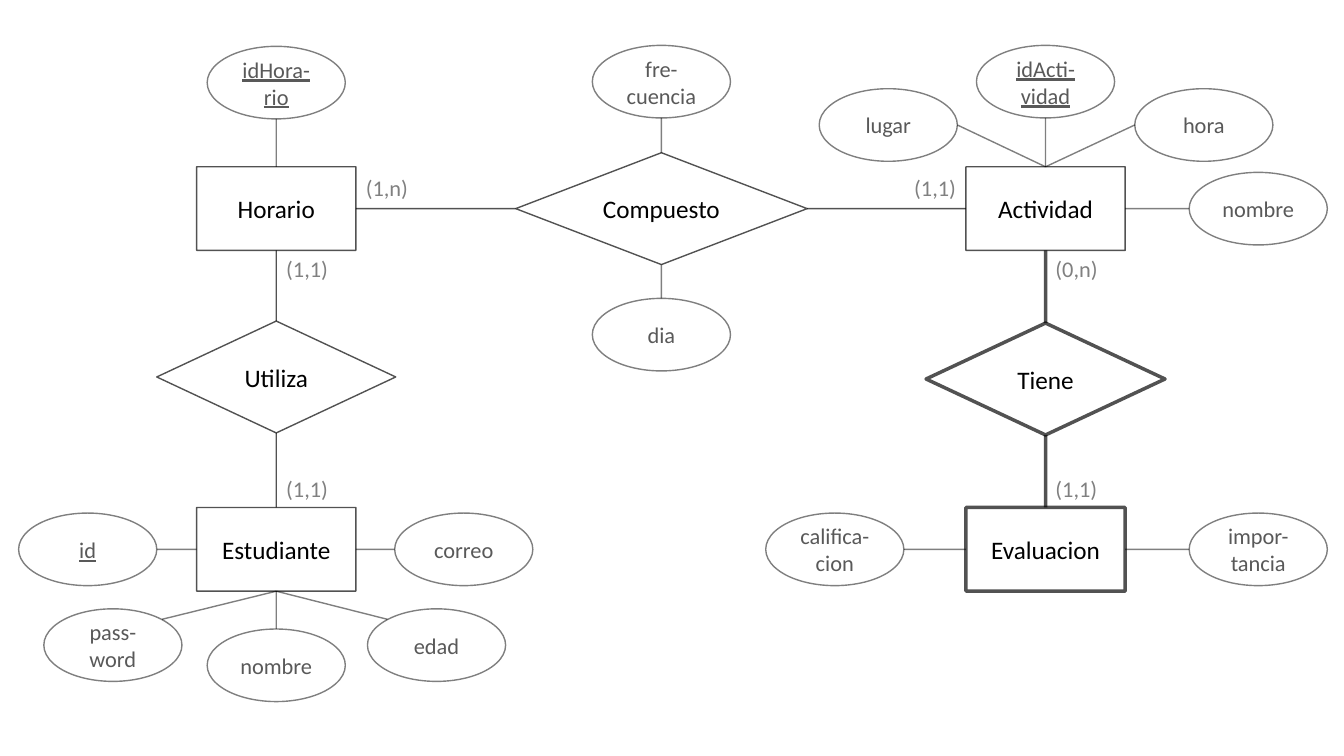
from lxml import etree
from pptx import Presentation
from pptx.dml.color import RGBColor
from pptx.enum import shapes, text
from pptx.oxml.ns import qn
from pptx.util import Inches, Pt

LEFT, MIDDLE, RIGHT = 2.74, 6.56, 10.37
TOP, BOTTOM = 2.07, 5.45
ENTITY_SIZE, ATTRIBUTE_SIZE = (1.58, 0.83), (1.37, 0.72)
THIN, THICK = 1, 2.5
ENTITY_OPACITY, ATTRIBUTE_OPACITY = 67, 50
BLACK, DARK_GREY, GREY = "000000", "595959", "808080"

# name, centre x, centre y, line width
ENTITIES = [
    ("Horario", LEFT, TOP, THIN),
    ("Actividad", RIGHT, TOP, THIN),
    ("Evaluacion", RIGHT, BOTTOM, THICK),
    ("Estudiante", LEFT, BOTTOM, THIN),
]
# name, centre x, centre y, width, line width, linked entities as (name, diamond side, entity side)
RELATIONS = [
    ("Compuesto", MIDDLE, TOP, 2.89, THIN,
     [("Horario", "left", "right"), ("Actividad", "right", "left")]),
    ("Tiene", RIGHT, 3.76, 2.37, THICK,
     [("Actividad", "top", "bottom"), ("Evaluacion", "bottom", "top")]),
    ("Utiliza", LEFT, 3.74, 2.37, THIN,
     [("Horario", "top", "bottom"), ("Estudiante", "bottom", "top")]),
]
RELATION_HEIGHT = 1.11
# owner: (text, is key, centre x, centre y, owner side, attribute side)
ATTRIBUTES = {
    "Horario": [("idHora-rio", True, LEFT, 0.82, "top", "bottom")],
    "Compuesto": [
        ("fre-cuencia", False, MIDDLE, 0.81, "top", "bottom"),
        ("dia", False, MIDDLE, 3.32, "bottom", "top"),
    ],
    "Actividad": [
        ("lugar", False, 8.81, 1.24, "top", "right"),
        ("idActi-vidad", True, RIGHT, 0.81, "top", "bottom"),
        ("hora", False, 11.94, 1.24, "top", "left"),
        ("nombre", False, 12.48, TOP, "right", "left"),
    ],
    "Estudiante": [
        ("id", True, 0.87, BOTTOM, "left", "right"),
        ("correo", False, 4.6, BOTTOM, "right", "left"),
        ("pass-word", False, 1.12, 6.4, "bottom", "top right"),
        ("nombre", False, LEFT, 6.6, "bottom", "top"),
        ("edad", False, 4.33, 6.4, "bottom", "top left"),
    ],
    "Evaluacion": [
        ("califica-cion", False, 8.28, BOTTOM, "left", "right"),
        ("impor-tancia", False, 12.48, BOTTOM, "right", "left"),
    ],
}
# text, left, top, width, height, anchor, alignment
CARDINALITIES = [
    ("(1,n)", 3.53, 1.65, 1.84, 0.42, "MIDDLE", "LEFT"),
    ("(1,1)", 7.74, 1.65, 1.84, 0.42, "MIDDLE", "RIGHT"),
    ("(0,n)", RIGHT, 2.48, 0.79, 0.72, "TOP", "LEFT"),
    ("(1,1)", RIGHT, 4.31, 0.79, 0.72, "BOTTOM", "LEFT"),
    ("(1,1)", LEFT, 2.48, 0.79, 0.72, "TOP", "LEFT"),
    ("(1,1)", LEFT, 4.31, 0.79, 0.72, "BOTTOM", "LEFT"),
]

# Direction from the centre, in half widths and half heights
SIDES = {
    "top": (0, -1), "bottom": (0, 1), "left": (-1, 0), "right": (1, 0),
    "top left": (-0.71, -0.71), "top right": (0.71, -0.71),
}


def color(hex_string):
    return RGBColor.from_string(hex_string)


def style_line(line, width, opacity):
    line.width = Pt(width)
    line.color.rgb = color(BLACK)
    srgb = line.fill._xPr.find(".//" + qn("a:srgbClr"))
    etree.SubElement(srgb, qn("a:alpha")).set("val", str(opacity * 1000))


def write(shape, words, size, hex_string, anchor="MIDDLE", alignment="CENTER", underline=False):
    frame = shape.text_frame
    frame.word_wrap = True
    frame.vertical_anchor = text.MSO_ANCHOR[anchor]
    frame.text = words
    paragraph = frame.paragraphs[0]
    paragraph.alignment = text.PP_ALIGN[alignment]
    font = paragraph.runs[0].font
    font.name, font.size, font.color.rgb = "Calibri", Pt(size), color(hex_string)
    if underline:
        font.underline = True


def add_node(slide, kind, center, size, line_width, opacity):
    (x, y), (width, height) = center, size
    node = slide.shapes.add_shape(kind, Inches(x - width / 2), Inches(y - height / 2),
                                  Inches(width), Inches(height))
    node.shadow.inherit = False
    node.fill.background()
    style_line(node.line, line_width, opacity)
    return node


def side_point(node, side):
    dx, dy = SIDES[side]
    return (int(node.left + node.width * (1 + dx) / 2),
            int(node.top + node.height * (1 + dy) / 2))


def join(slide, start, start_side, end, end_side, line_width, opacity):
    connector = slide.shapes.add_connector(
        shapes.MSO_CONNECTOR.STRAIGHT, *side_point(start, start_side), *side_point(end, end_side))
    etree.SubElement(connector._element.spPr, qn("a:effectLst"))
    style_line(connector.line, line_width, opacity)


def main():
    presentation = Presentation()
    presentation.slide_width, presentation.slide_height = Inches(13.33), Inches(7.5)
    slide = presentation.slides.add_slide(presentation.slide_layouts[6])
    nodes = {}

    for name, x, y, line_width in ENTITIES:
        nodes[name] = add_node(slide, shapes.MSO_SHAPE.RECTANGLE, (x, y), ENTITY_SIZE,
                               line_width, ENTITY_OPACITY)
        write(nodes[name], name, 18, BLACK)

    for name, x, y, width, line_width, links in RELATIONS:
        nodes[name] = add_node(slide, shapes.MSO_SHAPE.DIAMOND, (x, y), (width, RELATION_HEIGHT),
                               line_width, ENTITY_OPACITY)
        write(nodes[name], name, 18, BLACK)
        for entity, side, entity_side in links:
            join(slide, nodes[name], side, nodes[entity], entity_side, line_width, ENTITY_OPACITY)

    for owner, attributes in ATTRIBUTES.items():
        for words, is_key, x, y, owner_side, side in attributes:
            ellipse = add_node(slide, shapes.MSO_SHAPE.OVAL, (x, y), ATTRIBUTE_SIZE,
                               THIN, ATTRIBUTE_OPACITY)
            write(ellipse, words, 16, DARK_GREY, underline=is_key)
            join(slide, nodes[owner], owner_side, ellipse, side, THIN, ATTRIBUTE_OPACITY)

    for words, left, top, width, height, anchor, alignment in CARDINALITIES:
        box = slide.shapes.add_textbox(Inches(left), Inches(top), Inches(width), Inches(height))
        write(box, words, 16, GREY, anchor, alignment)

    presentation.save("out.pptx")


if __name__ == "__main__":
    main()
